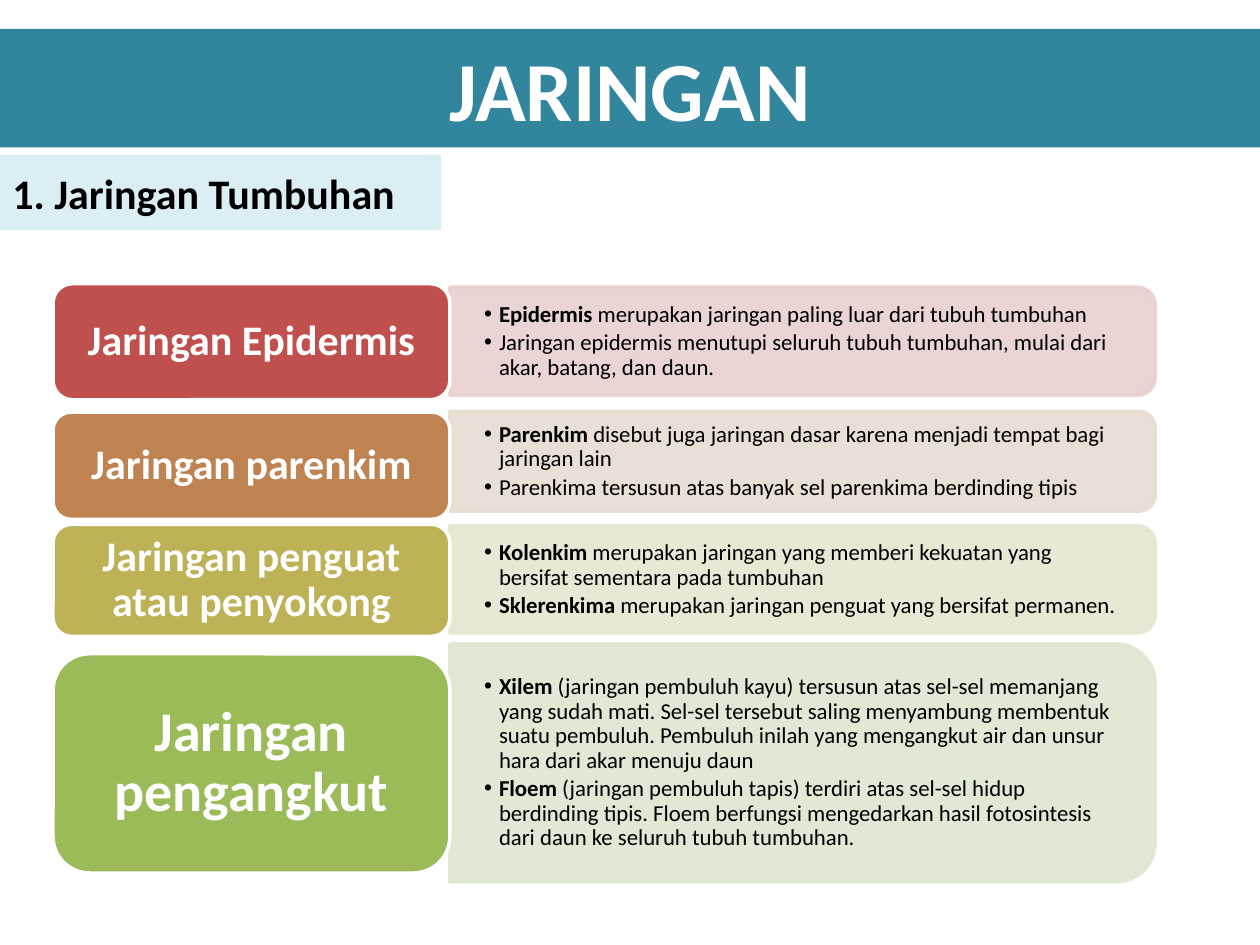
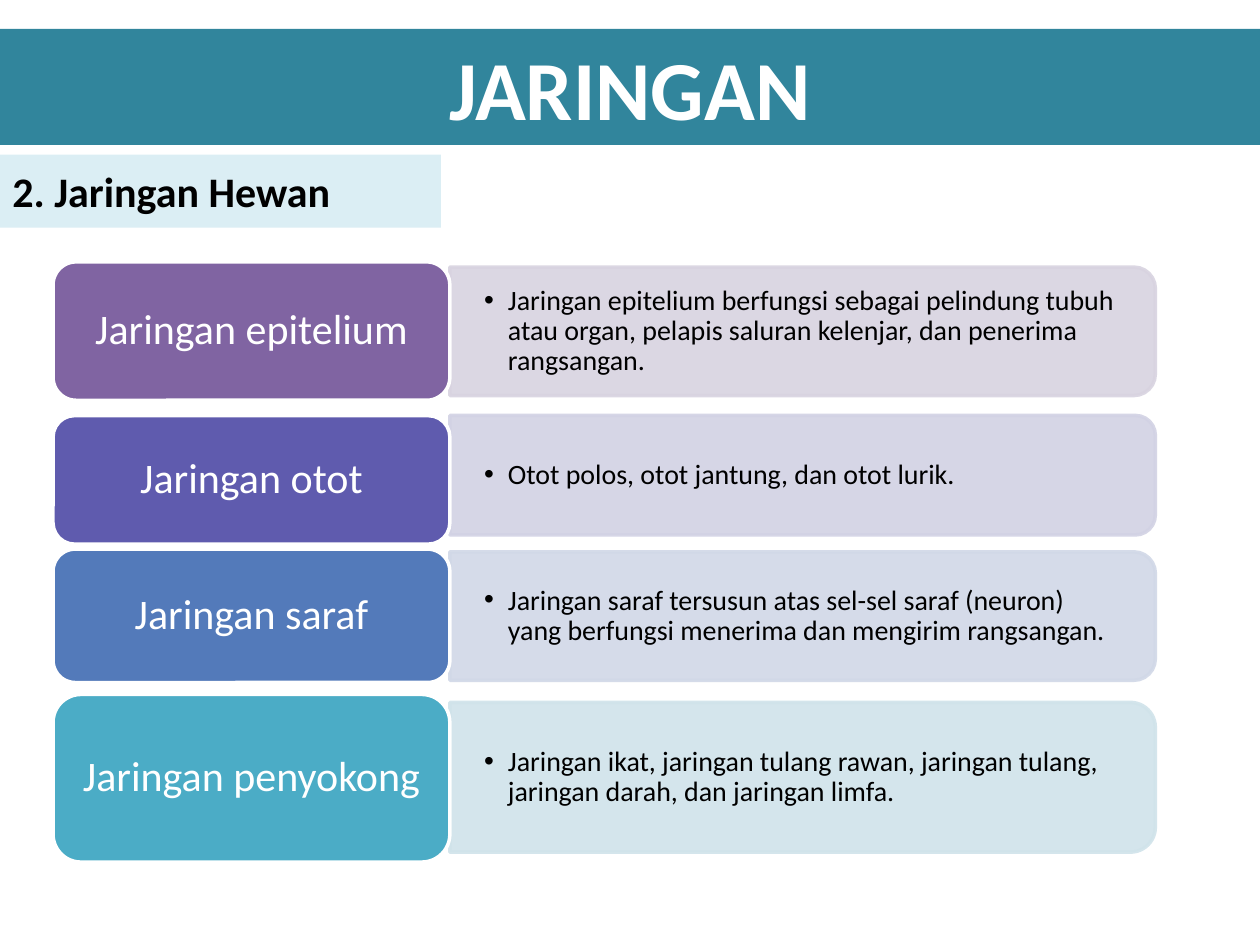
import dataclasses

import lxml.etree
import pptx
import pptx.dml.color
import pptx.enum.shapes
import pptx.enum.text
import pptx.oxml.ns
import pptx.util

Cm, Pt = pptx.util.Cm, pptx.util.Pt
RGB = pptx.dml.color.RGBColor.from_string
SHAPES = pptx.enum.shapes.MSO_SHAPE
ALIGN = pptx.enum.text.PP_ALIGN
ANCHOR = pptx.enum.text.MSO_ANCHOR
AUTO_SIZE = pptx.enum.text.MSO_AUTO_SIZE
qn = pptx.oxml.ns.qn


@dataclasses.dataclass(frozen=True)
class Theme:
    font: str = "Calibri"
    band: str = "31859C"
    heading_fill: str = "DBEEF4"
    light: str = "FFFFFF"
    dark: str = "000000"
    title_size: int = 48
    heading_size: int = 24
    label_size: int = 24
    large_label_size: int = 32
    panel_opacity: int = 90


theme = Theme()

# Fixed columns, in centimetres
LABEL_LEFT, LABEL_WIDTH = 1.07, 8.0
PANEL_LEFT, PANEL_WIDTH = 9.07, 14.22
CORNER = 0.05  # text inset caused by rounded corners, per unit of panel height

# Each row: label, label size, label colour, panel colour,
# (label top, label height, panel centre, panel height), list of (bold part, plain part)
plant_rows = [
    ("Jaringan Epidermis", theme.label_size, "C0504D", "E8D0D0", (5.72, 2.34, 6.88, 2.18), [
        ("Epidermis ", "merupakan jaringan paling luar dari tubuh tumbuhan"),
        ("", "Jaringan epidermis menutupi seluruh tubuh tumbuhan, mulai dari akar, batang, "
             "dan daun."),
    ]),
    ("Jaringan parenkim", theme.label_size, "BE8351", "E8DCD0", (8.31, 2.16, 9.3, 2.01), [
        ("Parenkim ", "disebut juga jaringan dasar karena menjadi tempat bagi jaringan lain"),
        ("", "Parenkima tersusun atas banyak sel parenkima berdinding tipis"),
    ]),
    ("Jaringan penguat atau penyokong", theme.label_size, "BDB255", "E7E6D1",
     (10.57, 2.26, 11.68, 2.16), [
        ("Kolenkim ", "merupakan jaringan yang memberi kekuatan yang bersifat sementara "
                      "pada tumbuhan"),
        ("Sklerenkima ", "merupakan jaringan penguat yang bersifat permanen."),
    ]),
    ("Jaringan pengangkut", theme.large_label_size, "9BBB59", "DEE7D1",
     (13.18, 4.42, 15.38, 4.8), [
        ("Xilem ", "(jaringan pembuluh kayu) tersusun atas sel-sel memanjang yang sudah mati. "
                   "Sel-sel tersebut saling menyambung membentuk suatu pembuluh. Pembuluh inilah "
                   "yang mengangkut air dan unsur hara dari akar menuju daun"),
        ("Floem ", "(jaringan pembuluh tapis) terdiri atas sel-sel hidup berdinding tipis. "
                   "Floem berfungsi mengedarkan hasil fotosintesis dari daun ke seluruh tubuh "
                   "tumbuhan."),
    ]),
]
animal_rows = [
    ("Jaringan epitelium", theme.label_size, "8064A2", "D8D3E0", (5.28, 2.79, 6.68, 2.59), [
        ("", "Jaringan epitelium berfungsi sebagai pelindung tubuh atau organ, pelapis saluran "
             "kelenjar, dan penerima rangsangan."),
    ]),
    ("Jaringan otot", theme.label_size, "5F5BAE", "D2D2E4", (8.38, 2.59, 9.58, 2.41), [
        ("", "Otot polos, otot jantung, dan otot lurik."),
    ]),
    ("Jaringan saraf", theme.label_size, "537ABA", "D1D8E7", (11.07, 2.69, 12.42, 2.59), [
        ("", "Jaringan saraf tersusun atas sel-sel saraf (neuron) yang berfungsi menerima dan "
             "mengirim rangsangan."),
    ]),
    ("Jaringan penyokong", theme.label_size, "4BACC6", "D0E3EA", (14.0, 3.38, 15.67, 3.02), [
        ("", "Jaringan ikat, jaringan tulang rawan, jaringan tulang, jaringan darah, dan "
             "jaringan limfa."),
    ]),
]
# Each slide: heading, band height, heading height, bold labels, list size, list indent, rows
slides = [
    ("1. Jaringan Tumbuhan", 2.39, 1.52, True, 13, 0.3, plant_rows),
    ("2. Jaringan Hewan", 2.34, 1.47, False, 16, 0.48, animal_rows),
]


def place(shape, left, top, width, height, fill=None):
    shape.left, shape.top = Cm(left), Cm(top)
    shape.width, shape.height = Cm(width), Cm(height)
    if fill:
        shape.fill.solid()
        shape.fill.fore_color.rgb = RGB(fill)
    frame = shape.text_frame
    frame.auto_size = AUTO_SIZE.NONE
    frame.word_wrap = True
    frame.vertical_anchor = ANCHOR.MIDDLE


def style(paragraph, size, color, bold=None, align=ALIGN.LEFT):
    paragraph.alignment = align
    paragraph.font.name = theme.font
    paragraph.font.size = Pt(size)
    paragraph.font.color.rgb = RGB(color)
    paragraph.font.bold = bold


presentation = pptx.Presentation()
presentation.slide_width, presentation.slide_height = Cm(25.4), Cm(19.05)
four_lists_layout = presentation.slide_layouts.get_by_name("Comparison")

for heading, band_height, heading_height, bold_labels, list_size, indent, rows in slides:
    slide = presentation.slides.add_slide(four_lists_layout)

    # Title band
    title = slide.shapes.title
    place(title, 0, 0.58, 25.4, band_height, theme.band)
    title.text_frame.text = "JARINGAN"
    style(title.text_frame.paragraphs[0], theme.title_size, theme.light, True, ALIGN.CENTER)

    # Heading strip
    strip = slide.shapes.add_textbox(0, 0, 0, 0)
    place(strip, 0, 3.12, 8.89, heading_height, theme.heading_fill)
    strip.text_frame.text = heading
    style(strip.text_frame.paragraphs[0], theme.heading_size, theme.dark, True)

    bodies = [body for body in slide.placeholders if body.placeholder_format.idx > 0]
    for body, row in zip(bodies, rows):
        label_text, label_size, label_color, panel_color, geometry, items = row
        label_top, label_height, panel_centre, panel_height = geometry

        # Panel: an upright shape turned a quarter so its round corners face right
        panel = slide.shapes.add_shape(SHAPES.ROUND_2_SAME_RECTANGLE, 0, 0, 0, 0)
        place(panel, PANEL_LEFT + (PANEL_WIDTH - panel_height) / 2,
              panel_centre - PANEL_WIDTH / 2, panel_height, PANEL_WIDTH, panel_color)
        panel.rotation = 90
        panel.shadow.inherit = False
        panel.line.color.rgb = RGB(panel_color)
        panel.line.width = Pt(2)
        for color in panel.element.spPr.iter(qn("a:srgbClr")):
            lxml.etree.SubElement(color, qn("a:alpha"), val=str(theme.panel_opacity * 1000))

        # Bulleted list, brought in front of its panel
        slide.shapes.element.append(body.element)
        corner = CORNER * panel_height
        list_height = panel_height - 2 * corner
        place(body, PANEL_LEFT, panel_centre - list_height / 2,
              PANEL_WIDTH - corner, list_height)
        frame = body.text_frame
        frame.margin_left = frame.margin_right = Cm(0.69)
        frame.margin_top = frame.margin_bottom = Cm(0.36)
        for number, (bold_part, plain_part) in enumerate(items):
            paragraph = frame.add_paragraph() if number else frame.paragraphs[0]
            paragraph.line_spacing = 0.9
            paragraph.space_before = Pt(0)
            paragraph.space_after = Pt(2)
            properties = paragraph._p.get_or_add_pPr()
            properties.set("marL", str(Cm(indent)))
            properties.set("indent", str(-Cm(indent)))
            lxml.etree.SubElement(properties, qn("a:buChar"), char="•")
            style(paragraph, list_size, theme.dark)
            for text, bold in ((bold_part, True), (plain_part, False)):
                if text:
                    run = paragraph.add_run()
                    run.text = text
                    run.font.bold = bold

        # Label
        label = slide.shapes.add_shape(SHAPES.ROUNDED_RECTANGLE, 0, 0, 0, 0)
        place(label, LABEL_LEFT, label_top, LABEL_WIDTH, label_height, label_color)
        label.shadow.inherit = False
        label.line.color.rgb = RGB(theme.light)
        label.line.width = Pt(2)
        label.text_frame.text = label_text
        paragraph = label.text_frame.paragraphs[0]
        paragraph.line_spacing = 0.9
        style(paragraph, label_size, theme.light, bold_labels, ALIGN.CENTER)

presentation.save("out.pptx")
